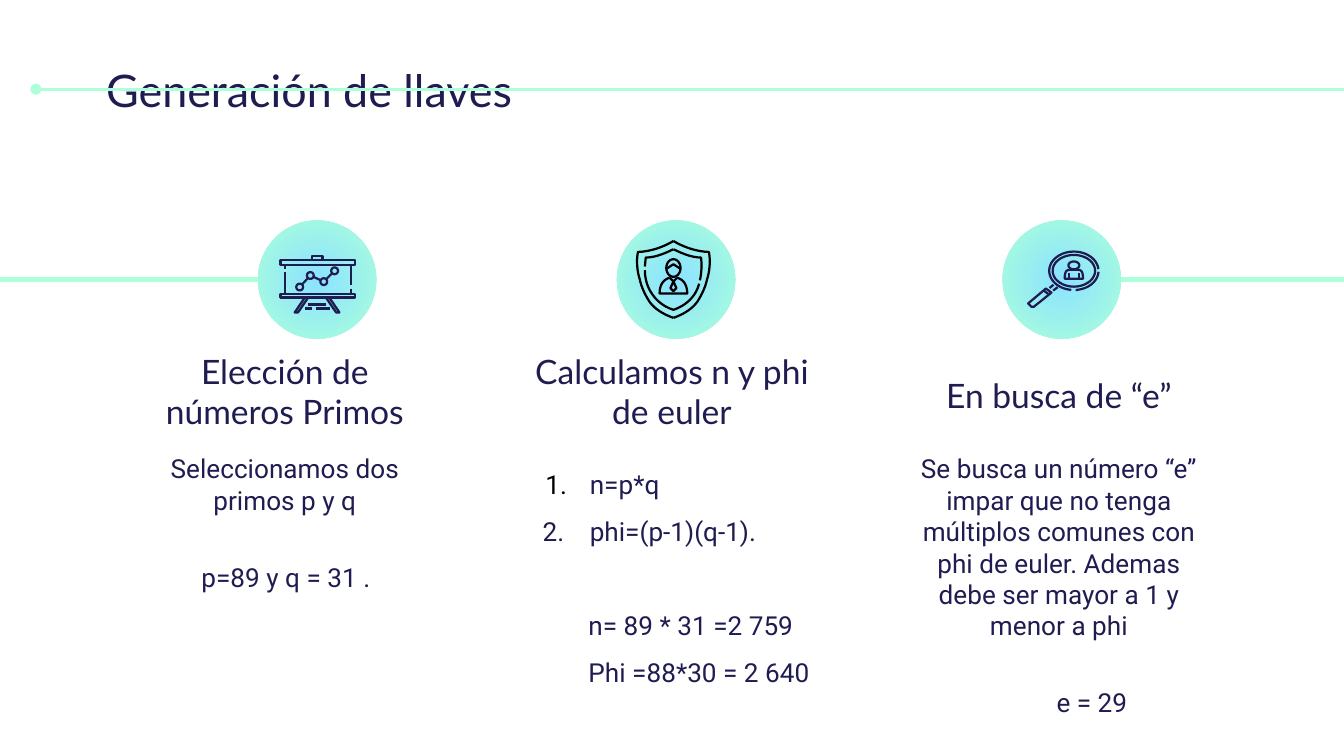
import math
from dataclasses import dataclass

import pptx
import pptx.dml.color
import pptx.enum.shapes
import pptx.enum.text
import pptx.oxml
import pptx.oxml.ns
import pptx.util
from lxml import etree

Pt = pptx.util.Pt
ALIGN = pptx.enum.text.PP_ALIGN
ANCHOR = pptx.enum.text.MSO_ANCHOR


def rgb(value):
    return pptx.dml.color.RGBColor.from_string(value)


@dataclass(frozen=True)
class Theme:
    ink: str = "1F1C51"
    black: str = "000000"
    mint: str = "ACFFD9"
    sky: str = "8BE3FF"
    heading_font: str = "Lato"
    body_font: str = "Roboto"
    title_size: int = 24
    heading_size: int = 18
    body_size: int = 14


@dataclass(frozen=True)
class Line:
    """One paragraph of body text; lengths in points."""
    text: str
    align: int = ALIGN.CENTER
    margin: float = 0
    indent: float = 0
    spacing: float = 1.0
    before: float = 0
    number_color: str = ""


def arc(x, y, rx, ry, start=0, end=360):
    """Points along an ellipse, angles in degrees clockwise from the right."""
    steps = 36
    angles = [math.radians(start + (end - start) * i / steps) for i in range(steps + 1)]
    return [(x + rx * math.cos(a), y + ry * math.sin(a)) for a in angles]


def curve(start, *segments):
    """Points along joined cubic Bezier segments of (control, control, end)."""
    points = [start]
    for c1, c2, end in segments:
        p0 = points[-1]
        for t in (i / 12 for i in range(1, 13)):
            weights = ((1 - t) ** 3, 3 * t * (1 - t) ** 2, 3 * t * t * (1 - t), t ** 3)
            points.append(tuple(sum(w * p[axis] for w, p in zip(weights, (p0, c1, c2, end)))
                                for axis in (0, 1)))
    return points


def box(left, top, right, bottom):
    return [(left, top), (right, top), (right, bottom), (left, bottom), (left, top)]


def mirror(points):
    return [(-x, y) for x, y in points]


def board_icon():
    nodes = [(-9.3, 4), (-3.6, -2.2), (3.6, 1.1), (9.4, -4.7)]
    radius = 1.8
    leg = [(5, 10), (10.2, 17.6), (12, 17.6), (6.8, 10)]
    strokes = [box(-19.6, -10.3, 20.2, -7.9), box(-19.6, 7.6, 20.2, 9.6),
               box(-2.6, -12.6, 2.9, -10.3),
               [(-17.3, -7.9), (-17.3, -5.5)], [(-17.3, -4), (-17.3, 7.6)],
               [(18, -7.9), (18, 3)], [(18, 4.8), (18, 7.6)],
               leg, mirror(leg), [(-5, 13.3), (5, 13.3)],
               [(-6.5, 15.5), (-2.5, 15.5)], [(-0.5, 15.5), (7, 15.5)]]
    strokes += [arc(x, y, radius, radius) for x, y in nodes]
    for (x1, y1), (x2, y2) in zip(nodes, nodes[1:]):
        trim = radius / math.hypot(x2 - x1, y2 - y1)
        dx, dy = (x2 - x1) * trim, (y2 - y1) * trim
        strokes.append([(x1 + dx, y1 + dy), (x2 - dx, y2 - dy)])
    return strokes


def shield_icon():
    rim = curve((0, -20.7), ((0.7, -20.2), (9, -15.1), (19, -14.8)),
                ((19.4, -13), (20.2, -7), (18, 0)),
                ((17, 4.5), (15, 8.5), (12.7, 12)),
                ((9.8, 16), (5, 18.8), (0, 20.5)))
    brow = curve((0, -16.2), ((1, -16), (8, -11.8), (14.8, -11.8)))
    right_side = curve((14.8, -11.8), ((15.2, -9), (15.2, -4), (14.2, 0.4)))
    chin_right = curve((13.8, 2.2), ((12, 9), (7, 13.8), (0, 16.2)))
    chin_left = curve((0, 16.2), ((-9, 13.4), (-15.3, 5), (-15.3, -5)))
    shoulder = curve((2, -1), ((5.5, 0), (7.4, 3), (7.4, 7.4)))
    return [rim, mirror(rim), brow + right_side, mirror(brow) + [(-15.3, -7)],
            chin_right + chin_left,
            arc(0, -6.2, 3.8, 4.7), [(-3.7, -5.8), (0, -8.2), (3.7, -5.8)],
            shoulder + [(-7.4, 7.4)] + mirror(shoulder)[::-1],
            [(-2, -1), (0, 1), (2, -1)],
            [(0, 1), (1.6, 4.6), (0, 6.2), (-1.6, 4.6), (0, 1)]]


def magnifier_icon():
    x, y = 6.5, -4.7
    person = curve((x - 4.9, -0.4), ((x - 4.9, -4), (x - 4.2, -5.2), (x - 2.2, -5.2)))
    person += curve((x + 2.2, -5.2), ((x + 4.2, -5.2), (x + 4.9, -4), (x + 4.9, -0.4)))
    return [arc(x, y, 13.2, 10.3, 96, 355), arc(x, y, 13.2, 10.3, 3, 86),
            arc(x, y, 11.4, 8.5), arc(x, -7.6, 2.9, 2.1), person + person[:1],
            [(x - 2.6, -3.3), (x - 2.6, -0.4)], [(x + 2.6, -3.3), (x + 2.6, -0.4)],
            [(-18, 12.8), (-8.5, 4.8), (-5.5, 7), (-15, 14.6), (-16.2, 14.6), (-18, 12.8)],
            [(-9.8, 5.8), (-6.8, 8)],
            [(-6.5, 4.5), (-4.4, 2.8)], [(-4.6, 5.9), (-2.2, 4.1)]]


class Deck:
    """Holds the theme and the slide that is being filled."""

    def __init__(self, theme):
        self.theme = theme
        self.presentation = pptx.Presentation()
        self.presentation.slide_width, self.presentation.slide_height = Pt(720), Pt(405)
        self.slide = self.presentation.slides.add_slide(self.presentation.slide_layouts[5])

    def styled_run(self, paragraph, text, font, size):
        run = paragraph.add_run()
        run.text = text
        run.font.name, run.font.size = font, Pt(size)
        run.font.color.rgb = rgb(self.theme.ink)

    def prepare(self, frame, anchor):
        frame.word_wrap = True
        frame.auto_size = pptx.enum.text.MSO_AUTO_SIZE.NONE
        frame.vertical_anchor = anchor
        frame.margin_left = frame.margin_right = Pt(7.2)
        frame.margin_top = frame.margin_bottom = Pt(7.2)
        return frame

    def title(self, text, left, top, width, height):
        holder = self.slide.shapes.title
        holder.left, holder.top, holder.width, holder.height = map(Pt, (left, top, width, height))
        paragraph = self.prepare(holder.text_frame, ANCHOR.TOP).paragraphs[0]
        paragraph.alignment = ALIGN.LEFT
        self.styled_run(paragraph, text, self.theme.heading_font, self.theme.title_size)

    def text_frame(self, area, anchor):
        return self.prepare(self.slide.shapes.add_textbox(*map(Pt, area)).text_frame, anchor)

    def heading(self, text, *area):
        paragraph = self.text_frame(area, ANCHOR.BOTTOM).paragraphs[0]
        paragraph.alignment = ALIGN.CENTER
        self.styled_run(paragraph, text, self.theme.heading_font, self.theme.heading_size)

    def body(self, lines, *area):
        frame = self.text_frame(area, ANCHOR.TOP)
        for index, line in enumerate(lines):
            paragraph = frame.add_paragraph() if index else frame.paragraphs[0]
            properties = paragraph._p.get_or_add_pPr()
            properties.set("marL", str(Pt(line.margin)))
            properties.set("indent", str(Pt(line.indent)))
            if line.number_color:
                color = etree.SubElement(properties, pptx.oxml.ns.qn("a:buClr"))
                etree.SubElement(color, pptx.oxml.ns.qn("a:srgbClr"), val=line.number_color)
                etree.SubElement(properties, pptx.oxml.ns.qn("a:buAutoNum"), type="arabicPeriod")
            paragraph.alignment, paragraph.line_spacing = line.align, line.spacing
            if line.before:
                paragraph.space_before = Pt(line.before)
            self.styled_run(paragraph, line.text, self.theme.body_font, self.theme.body_size)

    def rule(self, start, end, y, weight, dot=False):
        connector = self.slide.shapes.add_connector(
            pptx.enum.shapes.MSO_CONNECTOR.STRAIGHT, Pt(start), Pt(y), Pt(end), Pt(y))
        connector.line.color.rgb, connector.line.width = rgb(self.theme.mint), Pt(weight)
        if dot:
            etree.SubElement(connector.line._get_or_add_ln(), pptx.oxml.ns.qn("a:headEnd"), type="oval")
        etree.SubElement(connector._element.spPr, pptx.oxml.ns.qn("a:effectLst"))

    def disc(self, x, y, diameter):
        disc = self.slide.shapes.add_shape(
            pptx.enum.shapes.MSO_SHAPE.OVAL, Pt(x - diameter / 2), Pt(y - diameter / 2),
            Pt(diameter), Pt(diameter))
        disc.shadow.inherit = False
        disc.line.fill.background()
        disc.fill.gradient()
        for stop, position, color in zip(disc.fill.gradient_stops, (0, 1), (self.theme.sky, self.theme.mint)):
            stop.position, stop.color.rgb = position, rgb(color)
        linear = disc._element.spPr.find(".//" + pptx.oxml.ns.qn("a:lin"))
        radial = etree.Element(pptx.oxml.ns.qn("a:path"), path="circle")
        etree.SubElement(radial, pptx.oxml.ns.qn("a:fillToRect"), l="50000", t="50000", r="50000", b="50000")
        linear.getparent().replace(linear, radial)

    def icon(self, strokes, x, y, color):
        """Draw strokes, given as offsets from (x, y), as one outlined shape."""
        placed = [[(Pt(x + dx), Pt(y + dy)) for dx, dy in stroke] for stroke in strokes]
        builder = self.slide.shapes.build_freeform(*placed[0][0], scale=1.0)
        for index, stroke in enumerate(placed):
            if index:
                builder.move_to(*stroke[0])
            builder.add_line_segments(stroke[1:], close=False)
        outline = builder.convert_to_shape()
        outline.shadow.inherit = False
        outline.fill.background()
        outline.line.color.rgb, outline.line.width = rgb(color), Pt(1.2)


def main():
    theme = Theme()
    deck = Deck(theme)
    deck.rule(19.2, 720, 47.8, 1.5, dot=True)
    deck.title("Generación de llaves", 49.7, 26.6, 478.8, 42.5)

    numbered = dict(align=ALIGN.JUSTIFY, margin=36, spacing=1.5)
    result = dict(indent=35.3, spacing=1.5)
    primes = [Line("Seleccionamos dos primos p y q"),
              Line("p=89 y q = 31 .", ALIGN.JUSTIFY, before=16, **result)]
    totals = [Line("n=p*q", indent=-23.8, number_color=theme.black, **numbered),
              Line("phi=(p-1)(q-1).", indent=-25.2, number_color=theme.ink, **numbered),
              Line("n= 89 * 31 =2 759", ALIGN.LEFT, before=25, **result),
              Line("Phi =88*30 = 2 640", ALIGN.LEFT, **result)]
    search = [Line("Se busca un número “e” impar que no tenga múltiplos comunes con phi de euler. "
                   "Ademas debe ser mayor a 1 y menor a phi"),
              Line("e = 29", before=16, **result)]

    disc_y, diameter = 149.8, 63.4
    columns = [
        ("Elección de números Primos", primes, 65.5, 195.8, 174.2, 169.9, board_icon(), 0, theme.ink),
        ("Calculamos n y phi de euler", totals, 272.9, 195.8, 196.6, 362.2, shield_icon(), -1.4, theme.black),
        ("En busca de “e”", search, 480.2, 187.2, 174.2, 568.8, magnifier_icon(), 0, theme.ink),
    ]
    for heading, lines, left, top, body_width, disc_x, strokes, shift, color in columns:
        deck.body(lines, left, 235.4, body_width, 90.7)
        deck.heading(heading, left, top, 174.2, 42.5)
        deck.disc(disc_x, disc_y, diameter)
        deck.icon(strokes, disc_x + shift, disc_y, color)
    deck.rule(columns[0][5] - diameter / 2, 0, disc_y, 2.25)
    deck.rule(columns[-1][5] + diameter / 2, 720, disc_y, 2.25)
    deck.presentation.save("out.pptx")


if __name__ == "__main__":
    main()
